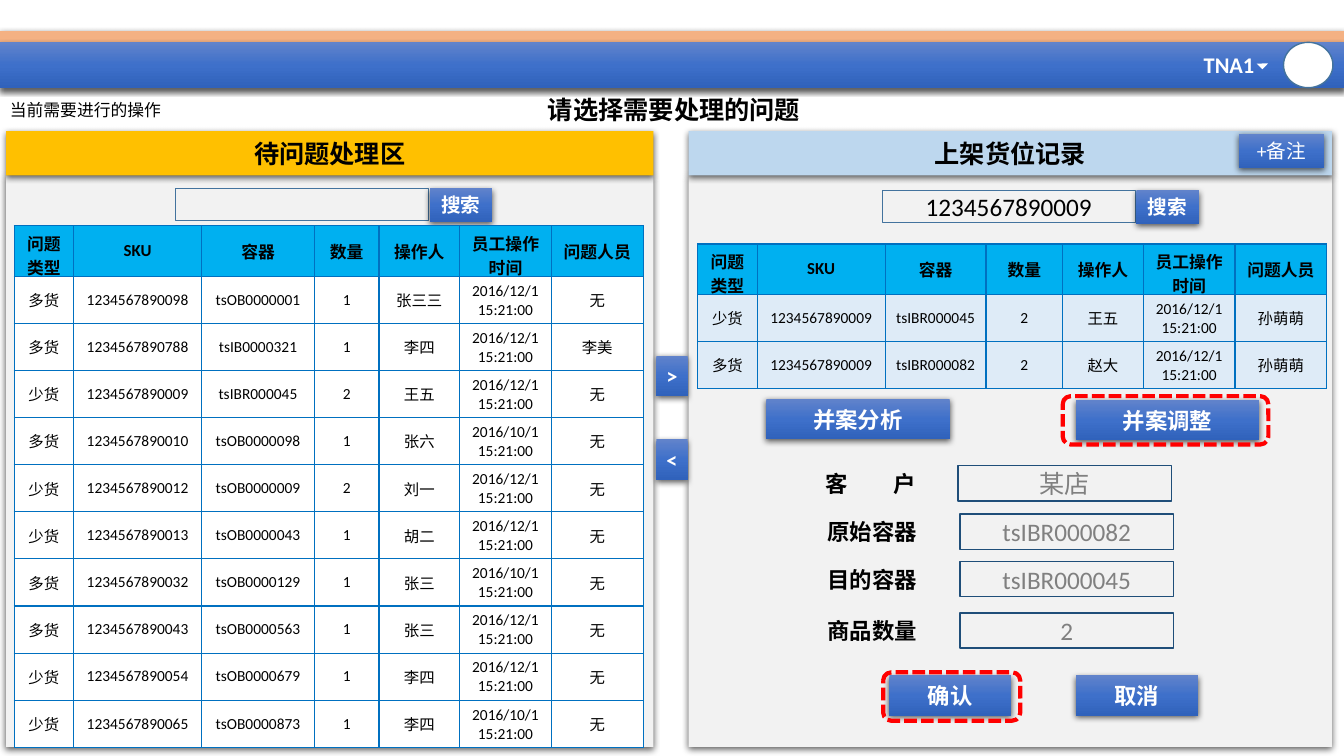
from lxml import etree
from pptx import Presentation
from pptx.dml.color import RGBColor
from pptx.enum.dml import MSO_LINE
from pptx.enum.shapes import MSO_SHAPE
from pptx.enum.text import MSO_ANCHOR, PP_ALIGN
from pptx.oxml import parse_xml
from pptx.oxml.ns import nsdecls, qn
from pptx.util import Pt

RECT, OVAL = MSO_SHAPE.RECTANGLE, MSO_SHAPE.OVAL
ROUND, WEDGE = MSO_SHAPE.ROUNDED_RECTANGLE, MSO_SHAPE.RIGHT_TRIANGLE
LEFT, CENTER = PP_ALIGN.LEFT, PP_ALIGN.CENTER
TOP, MIDDLE = MSO_ANCHOR.TOP, MSO_ANCHOR.MIDDLE
DASH = MSO_LINE.SQUARE_DOT

SCALE = 9144  # EMU in one px, 100 px to the inch
FONT = "Calibri"
BLACK, WHITE, GREY = "000000", "FFFFFF", "808080"
STEEL, NAVY, RED = "43739E", "1F4E79", "FF0000"
BLUES = ((0, "6183CB"), (50, "3E70CA"), (100, "3062BB"))

HEAD = ("问题类型", "SKU", "容器", "数量", "操作人", "员工操作时间", "问题人员")
DEC, OCT = "2016/12/1", "2016/10/1"
TODO = (
    ("多货", "1234567890098", "tsOB0000001", "1", "张三三", DEC, "无"),
    ("多货", "1234567890788", "tsIB0000321", "1", "李四", DEC, "李美"),
    ("少货", "1234567890009", "tsIBR000045", "2", "王五", DEC, "无"),
    ("多货", "1234567890010", "tsOB0000098", "1", "张六", OCT, "无"),
    ("少货", "1234567890012", "tsOB0000009", "2", "刘一", DEC, "无"),
    ("少货", "1234567890013", "tsOB0000043", "1", "胡二", DEC, "无"),
    ("多货", "1234567890032", "tsOB0000129", "1", "张三", OCT, "无"),
    ("多货", "1234567890043", "tsOB0000563", "1", "张三", DEC, "无"),
    ("少货", "1234567890054", "tsOB0000679", "1", "李四", DEC, "无"),
    ("少货", "1234567890065", "tsOB0000873", "1", "李四", OCT, "无"),
)
SHELF = (
    ("少货", "1234567890009", "tsIBR000045", "2", "王五", DEC, "孙萌萌"),
    ("多货", "1234567890009", "tsIBR000082", "2", "赵大", DEC, "孙萌萌"),
)
# Label, value, offset from the panel's left and top
FIELDS = (
    ("客\t户", "某店", 126, 332),
    ("原始容器", "tsIBR000082", 128, 380),
    ("目的容器", "tsIBR000045", 128, 427),
    ("商品数量", "2", 128, 478),
)


def px(*sizes):
    return [round(size * SCALE) for size in sizes]


def color(code):
    return RGBColor.from_string(code)


def write(frame, text, size, ink=BLACK, bold=False, align=CENTER, anchor=MIDDLE):
    frame.word_wrap = True
    frame.vertical_anchor = anchor
    for num, line in enumerate(text.split("\n")):
        para = frame.paragraphs[0] if num == 0 else frame.add_paragraph()
        para.alignment = align
        run = para.add_run()
        run.text = line
        run.font.name, run.font.size, run.font.bold = FONT, Pt(size), bold
        run.font.color.rgb = color(ink)


def shade(item):
    item._element.spPr.append(parse_xml(
        f'<a:effectLst {nsdecls("a")}><a:outerShdw blurRad="57150" dist="19050" '
        'dir="5400000" algn="ctr" rotWithShape="0"><a:srgbClr val="000000">'
        '<a:alpha val="63000"/></a:srgbClr></a:outerShdw></a:effectLst>'))


def shape(slide, kind, box, fill=None, line=None, width=1, shadow=False):
    item = slide.shapes.add_shape(kind, *px(*box))
    if fill is BLUES:
        stops = "".join(f'<a:gs pos="{at * 1000}"><a:srgbClr val="{code}"/></a:gs>'
                        for at, code in BLUES)
        item._element.spPr.append(parse_xml(
            f'<a:gradFill {nsdecls("a")} rotWithShape="1"><a:gsLst>{stops}</a:gsLst>'
            '<a:lin ang="5400000" scaled="0"/></a:gradFill>'))
    elif fill:
        item.fill.solid()
        item.fill.fore_color.rgb = color(fill)
    else:
        item.fill.background()
    if line:
        item.line.color.rgb = color(line)
        item.line.width = Pt(width)
    else:
        item.line.fill.background()
    if shadow:
        shade(item)
    else:
        item.shadow.inherit = False
    return item


def label(slide, box, text, size, **style):
    frame = slide.shapes.add_textbox(*px(*box)).text_frame
    write(frame, text, size, **style)
    return frame


def button(slide, box, text, size=16, bold=True, anchor=MIDDLE):
    item = shape(slide, RECT, box, BLUES, shadow=True)
    write(item.text_frame, text, size, WHITE, bold, anchor=anchor)


def alert(slide, box):
    shape(slide, ROUND, box, line=RED, width=3).line.dash_style = DASH


def border(cell):
    props = cell._tc.get_or_add_tcPr()
    for num, side in enumerate(("lnL", "lnR", "lnT", "lnB")):
        line = etree.Element(qn(f"a:{side}"), w="12700")
        fill = etree.SubElement(line, qn("a:solidFill"))
        etree.SubElement(fill, qn("a:srgbClr"), val="0070C0")
        props.insert(num, line)


def grid(slide, x, y, cols, rows, fill):
    deep = 40 + 46 * len(rows)
    table = slide.shapes.add_table(
        len(rows) + 1, len(cols), *px(x, y, sum(cols), deep)).table
    table.horz_banding = False
    for col, wide in zip(table.columns, px(*cols)):
        col.width = wide
    for r, row in enumerate((HEAD, *rows)):
        table.rows[r].height = px(46 if r else 40)[0]
        for c, text in enumerate(row):
            cell = table.cell(r, c)
            cell.fill.solid()
            cell.fill.fore_color.rgb = color(fill if r else "00B0F0")
            cell.vertical_anchor = MIDDLE
            if r and c == 5:
                text += "\n15:21:00"
            write(cell.text_frame, text, 11 if r else 12, bold=not r)
            border(cell)


def panel(slide, x, y, w, h, text, fill):
    shape(slide, RECT, (x, y + 44, w, h - 44), "F2F2F2", shadow=True)
    bar = shape(slide, RECT, (x, y, w, 44), fill, shadow=True)
    write(bar.text_frame, text, 18, bold=True)


def search(slide, x, y, text=""):
    entry = shape(slide, RECT, (x, y, 251, 32), line=STEEL)
    if text:
        write(entry.text_frame, text, 18)
    button(slide, (x + 252, y, 62, 33), "搜索", 14)


def banner(slide, x, y, w):
    shape(slide, RECT, (x, y, w, 11), "F4B183", shadow=True)
    shape(slide, RECT, (x, y + 11, w, 45), BLUES, shadow=True)
    shape(slide, OVAL, (x + w - 60, y + 11, 49, 45), WHITE, STEEL)
    user = label(slide, (x + w - 149, y + 15, 71, 37), "TNA1", 16,
                 ink=WHITE, bold=True, align=LEFT, anchor=TOP)
    user.word_wrap = False
    shape(slide, WEDGE, (x + w - 85, y + 28, 8, 8), WHITE).rotation = 314.5


def heading(slide, x, y, w, h):
    title = slide.shapes.title
    title.left, title.top, title.width, title.height = px(x + 2, y, w, h)
    write(title.text_frame, "请选择需要处理的问题", 18, bold=True)
    label(slide, (x, y, 180, h), "当前需要进行的操作", 12, align=LEFT)


def todo(slide, x, y, w, h):
    panel(slide, x, y, w, h, "待问题处理区", "FFC000")
    search(slide, x + 168, y + 57)
    grid(slide, x + 8, y + 94, (59, 127, 112, 64, 80, 91, 91), TODO, WHITE)


def shelf(slide, x, y, w, h):
    panel(slide, x, y, w, h, "上架货位记录", "BDD7EE")
    button(slide, (x + w - 92, y + 3, 84, 34), "+备注", 14, False, TOP)
    search(slide, x + 192, y + 59, "1234567890009")
    grid(slide, x + 9, y + 112, (59, 127, 100, 76, 80, 91, 91), SHELF, "DEEBF7")
    button(slide, (x + 77, y + 266, 182, 40), "并案分析")
    button(slide, (x + 384, y + 267, 182, 40), "并案调整")
    alert(slide, (x + 371, y + 263, 204, 48))
    # Form fields
    for name, value, dx, dy in FIELDS:
        frame = label(slide, (x + dx, y + dy, 154, 39), name, 16, bold=True, align=LEFT)
        para = frame.paragraphs[0]
        para.line_spacing = 0.9
        if "\t" in name:
            tabs = etree.SubElement(para._p.get_or_add_pPr(), qn("a:tabLst"))
            etree.SubElement(tabs, qn("a:tab"), pos=str(px(67)[0]), algn="l")
        entry = shape(slide, RECT, (x + dx + 141, y + dy, 212, 35), line=NAVY)
        write(entry.text_frame, value, 18, GREY)
    button(slide, (x + 199, y + 540, 121, 40), "确认")
    button(slide, (x + 384, y + 540, 121, 40), "取消")
    alert(slide, (x + 193, y + 537, 136, 48))


def main():
    deck = Presentation()
    deck.slide_width, deck.slide_height = px(1333, 750)
    slide = deck.slides.add_slide(deck.slide_layouts[5])
    banner(slide, 0, 31, 1333)
    heading(slide, 0, 89, 1333, 40)
    todo(slide, 6, 130, 642, 611)
    shelf(slide, 683, 130, 638, 611)
    # Buttons that move rows between the panels
    for sign, y in ((">", 353), ("<", 436)):
        button(slide, (651, y, 31, 40), sign)
    deck.save("out.pptx")


if __name__ == "__main__":
    main()
